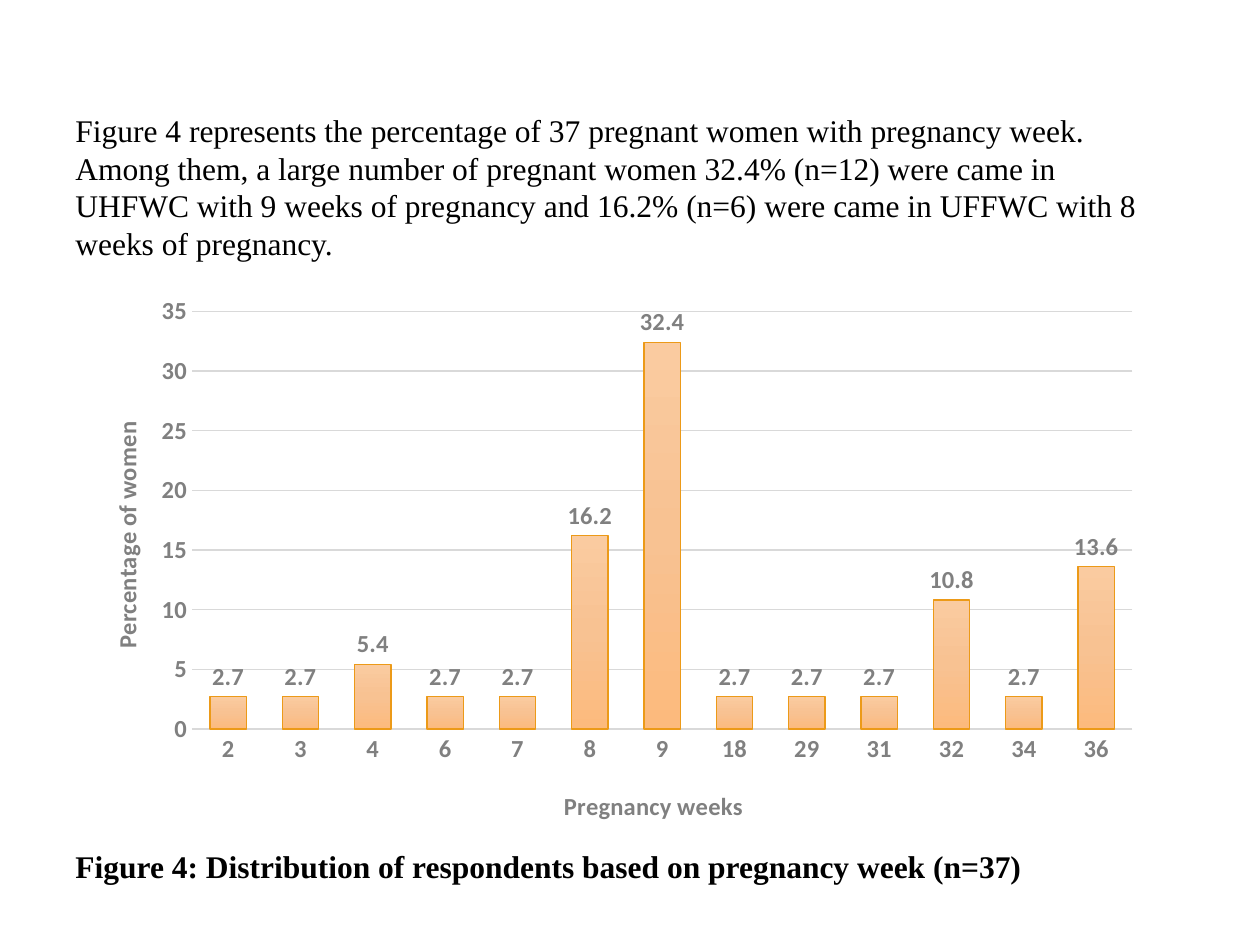
"""Build a slide with a column chart of respondents by pregnancy week."""
from copy import deepcopy

from lxml.etree import SubElement
from pptx import Presentation
from pptx.chart.data import CategoryChartData
from pptx.dml.color import RGBColor
from pptx.enum.chart import XL_CHART_TYPE as ChartType
from pptx.enum.chart import XL_LABEL_POSITION as LabelPosition
from pptx.enum.chart import XL_TICK_MARK as TickMark
from pptx.enum.text import MSO_AUTO_SIZE as AutoSize
from pptx.oxml.ns import qn
from pptx.util import Inches, Pt

BLACK = RGBColor(0x00, 0x00, 0x00)
GRAY = RGBColor(0x80, 0x80, 0x80)
GRID_GRAY = RGBColor(0xD9, 0xD9, 0xD9)
BAR_EDGE = RGBColor(0xEC, 0x9A, 0x18)
BAR_STOPS = [
    (0, RGBColor(0xFA, 0xCB, 0xA0)),
    (0.5, RGBColor(0xF8, 0xC2, 0x92)),
    (1, RGBColor(0xFC, 0xBA, 0x7D)),
]

SUMMARY = (
    "Figure 4 represents the percentage of 37 pregnant women with pregnancy week. "
    "Among them, a large number of pregnant women 32.4% (n=12) were came in UHFWC "
    "with 9 weeks of pregnancy and 16.2% (n=6) were came in UFFWC with 8 weeks of pregnancy."
)
CAPTION = "Figure 4: Distribution of respondents based on pregnancy week (n=37)"
TEXTS = [(SUMMARY, 0.83, 1.31, False), (CAPTION, 6.67, 0.4, True)]
TEXT_LEFT, TEXT_WIDTH = 0.5, 8.92
CHART_BOX = (0.58, 2.25, 8.58, 4.42)

WEEKS = ["2", "3", "4", "6", "7", "8", "9", "18", "29", "31", "32", "34", "36"]
PERCENTAGES = [2.7, 2.7, 5.4, 2.7, 2.7, 16.2, 32.4, 2.7, 2.7, 2.7, 10.8, 2.7, 13.6]
PLOT_SHARE = {"x": 0.11, "y": 0.05, "w": 0.87, "h": 0.75}
WEEK_TITLE = ("Pregnancy weeks", {"x": 0.45, "y": 0.9})
PERCENT_TITLE = ("Percentage of women", {"x": 0.03, "y": 0.24})


def style_font(font, size, color, name, bold):
    font.size = Pt(size)
    font.color.rgb = color
    font.name = name
    font.bold = bold


def style_line(line, color):
    line.color.rgb = color
    line.width = Pt(0.75)


def place(element, shares, inner=False):
    layout = element.find(qn("c:layout"))
    if layout is None:
        layout = SubElement(element, qn("c:layout"))
        element.insert(0, layout)
    manual = SubElement(layout, qn("c:manualLayout"))
    if inner:
        SubElement(manual, qn("c:layoutTarget"), val="inner")
    for key in ("x", "y"):
        SubElement(manual, qn(f"c:{key}Mode"), val="edge")
    for key, share in shares.items():
        SubElement(manual, qn(f"c:{key}"), val=str(share))


def add_text(slide, text, top, height, bold):
    box = slide.shapes.add_textbox(
        *map(Inches, (TEXT_LEFT, top, TEXT_WIDTH, height)))
    frame = box.text_frame
    frame.word_wrap = True
    frame.auto_size = AutoSize.SHAPE_TO_FIT_TEXT
    run = frame.paragraphs[0].add_run()
    run.text = text
    style_font(run.font, 18, BLACK, "Times New Roman", bold)


def style_axis(axis, title, shares):
    axis.major_tick_mark = axis.minor_tick_mark = TickMark.NONE
    style_font(axis.tick_labels.font, 14, GRAY, "Calibri", True)
    run = axis.axis_title.text_frame.paragraphs[0].add_run()
    run.text = title
    style_font(run.font, 14, GRAY, "Calibri", True)
    place(axis.axis_title._element, shares)


def style_bars(plot):
    plot.gap_width = 100
    plot.overlap = -24
    plot.vary_by_categories = False
    series = plot.series[0]
    fill = series.format.fill
    fill.gradient()
    fill.gradient_angle = 270
    stop_list = series._element.find(".//" + qn("a:gsLst"))
    stop_list.insert(1, deepcopy(stop_list[0]))
    for stop, (position, color) in zip(fill.gradient_stops, BAR_STOPS):
        stop.position = position
        stop.color.rgb = color
    style_line(series.format.line, BAR_EDGE)
    labels = series.data_labels
    labels.show_value = True
    labels.position = LabelPosition.OUTSIDE_END
    style_font(labels.font, 14, GRAY, "Calibri", True)


def add_week_chart(slide):
    data = CategoryChartData()
    data.categories = WEEKS
    data.add_series("Series 1", PERCENTAGES)
    chart = slide.shapes.add_chart(
        ChartType.COLUMN_CLUSTERED, *map(Inches, CHART_BOX), data).chart
    chart.has_legend = False
    chart.has_title = False
    style_font(chart.font, 10, BLACK, "Calibri", False)
    style_axis(chart.category_axis, *WEEK_TITLE)
    style_line(chart.category_axis.format.line, GRID_GRAY)
    percent_axis = chart.value_axis
    style_axis(percent_axis, *PERCENT_TITLE)
    percent_axis.minimum_scale, percent_axis.maximum_scale = 0, 35
    percent_axis.major_unit = 5
    percent_axis.format.line.fill.background()
    style_line(percent_axis.major_gridlines.format.line, GRID_GRAY)
    style_bars(chart.plots[0])
    place(chart._chartSpace.find(".//" + qn("c:plotArea")), PLOT_SHARE, inner=True)


def main():
    presentation = Presentation()
    presentation.slide_width, presentation.slide_height = Inches(10), Inches(7.5)
    slide = presentation.slides.add_slide(presentation.slide_layouts[6])
    for text in TEXTS:
        add_text(slide, *text)
    add_week_chart(slide)
    presentation.save("out.pptx")


if __name__ == "__main__":
    main()
